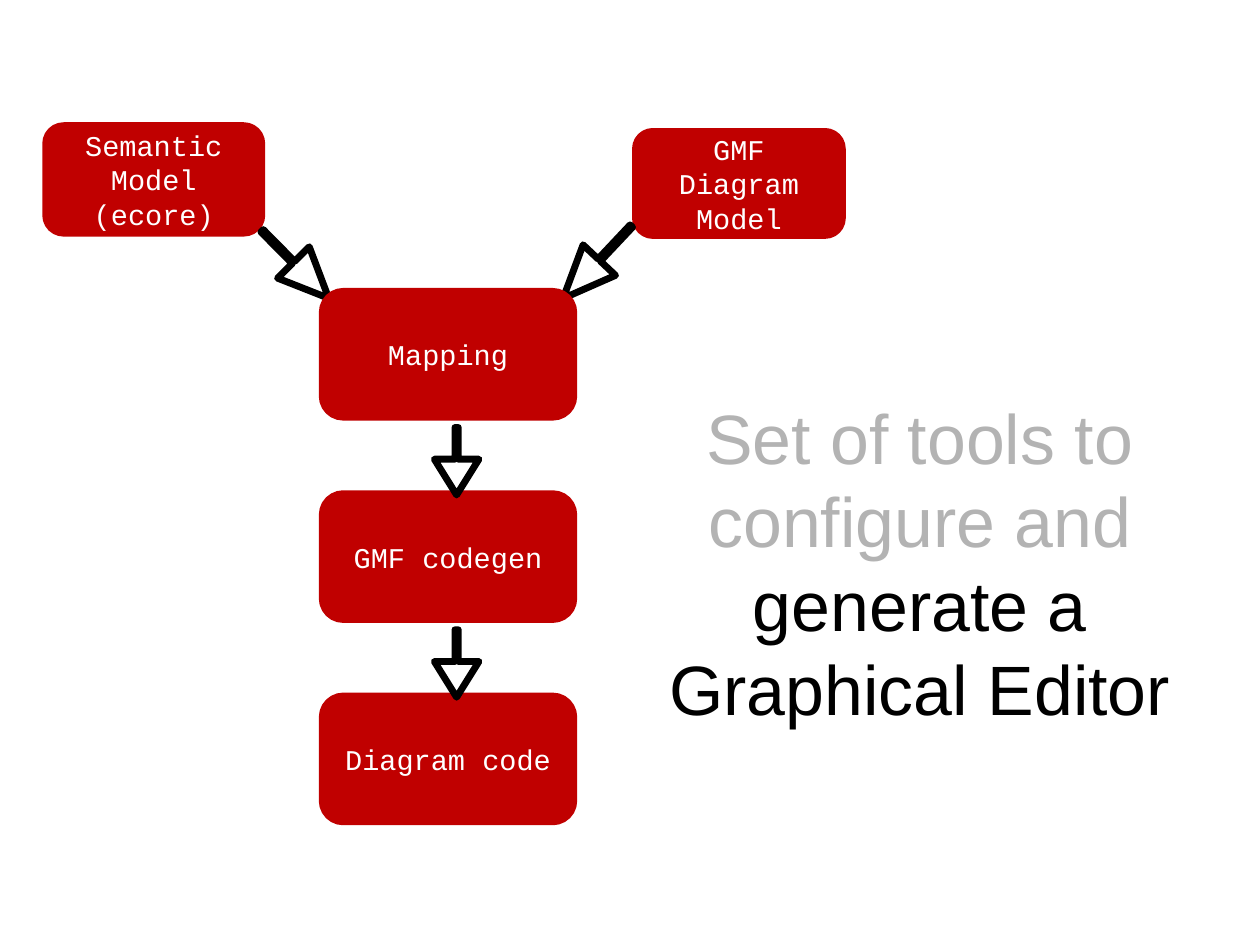
from lxml import etree
from pptx import Presentation
from pptx.dml.color import RGBColor
from pptx.enum import shapes, text
from pptx.oxml.ns import qn
from pptx.util import Inches, Pt

RED, BLACK, WHITE, GREY = "C00000", "000000", "FFFFFF", "B3B3B3"
CM_PER_INCH = 2.54


def add_outlined(kind, left, top, width, height, fill, line):
    """Add a preset shape with a flat fill and a thick round-joined outline."""
    shape = slide.shapes.add_shape(
        kind, Inches(left), Inches(top), Inches(width), Inches(height))
    shape.shadow.inherit = False
    shape.fill.solid()
    shape.fill.fore_color.rgb = RGBColor.from_string(fill)
    shape.line.color.rgb = RGBColor.from_string(line)
    shape.line.width = Pt(4.34)
    etree.SubElement(shape.line._get_or_add_ln(), qn("a:round"))
    return shape


def add_centred_run(paragraph, words, font, size, tint):
    paragraph.alignment = text.PP_ALIGN.CENTER
    run = paragraph.add_run()
    run.text = words
    run.font.name, run.font.size = font, Pt(size)
    run.font.color.rgb = RGBColor.from_string(tint)


prs = Presentation()
prs.slide_width = Inches(28 / CM_PER_INCH)
prs.slide_height = Inches(21 / CM_PER_INCH)
slide = prs.slides.add_slide(prs.slide_layouts[6])

ARROW_WIDTH = 0.39
STAGE_TOP, STAGE_PITCH = 2.55, 1.77
stages = ["Mapping", "GMF codegen", "Diagram code"]

models = [
    ("Semantic Model (ecore)", 0.4, 1.1, 1.89, 0.94),
    ("GMF Diagram Model", 5.56, 1.15, 1.81, 0.91),
]
model_arrows = [(2.39, 1.9, 0.83, 315.4), (5.03, 1.86, 0.87, 43.3)]
stage_boxes = [(label, 2.82, STAGE_TOP + i * STAGE_PITCH, 2.2, 1.1)
               for i, label in enumerate(stages)]
stage_arrows = [(3.8, 3.74 + i * STAGE_PITCH, 0.59, 0)
                for i in range(len(stages) - 1)]

# Back to front: the slanted arrows run behind the Mapping box
for boxes, arrows in [(models, model_arrows), (stage_boxes, stage_arrows)]:
    for label, *place in boxes:
        box = add_outlined(shapes.MSO_SHAPE.ROUNDED_RECTANGLE, *place, RED, RED)
        box.text_frame.word_wrap = True
        box.text_frame.vertical_anchor = text.MSO_ANCHOR.MIDDLE
        add_centred_run(box.text_frame.paragraphs[0], label,
                        "Courier New", 18, WHITE)
    for left, top, length, angle in arrows:
        arrow = add_outlined(shapes.MSO_SHAPE.DOWN_ARROW, left, top,
                             ARROW_WIDTH, length, WHITE, BLACK)
        arrow.adjustments[0] = 0.074
        arrow.adjustments[1] = 0.53 * length / ARROW_WIDTH
        arrow.rotation = angle

# Statement on the right
statement = slide.shapes.add_textbox(
    Inches(5.4), Inches(3.4), Inches(5.3), Inches(2.83)).text_frame
statement.word_wrap = True
for words, tint in [("Set of tools to configure and", GREY),
                    (" generate a Graphical Editor", BLACK)]:
    add_centred_run(statement.paragraphs[0], words, "Arial", 44, tint)

prs.save("out.pptx")
